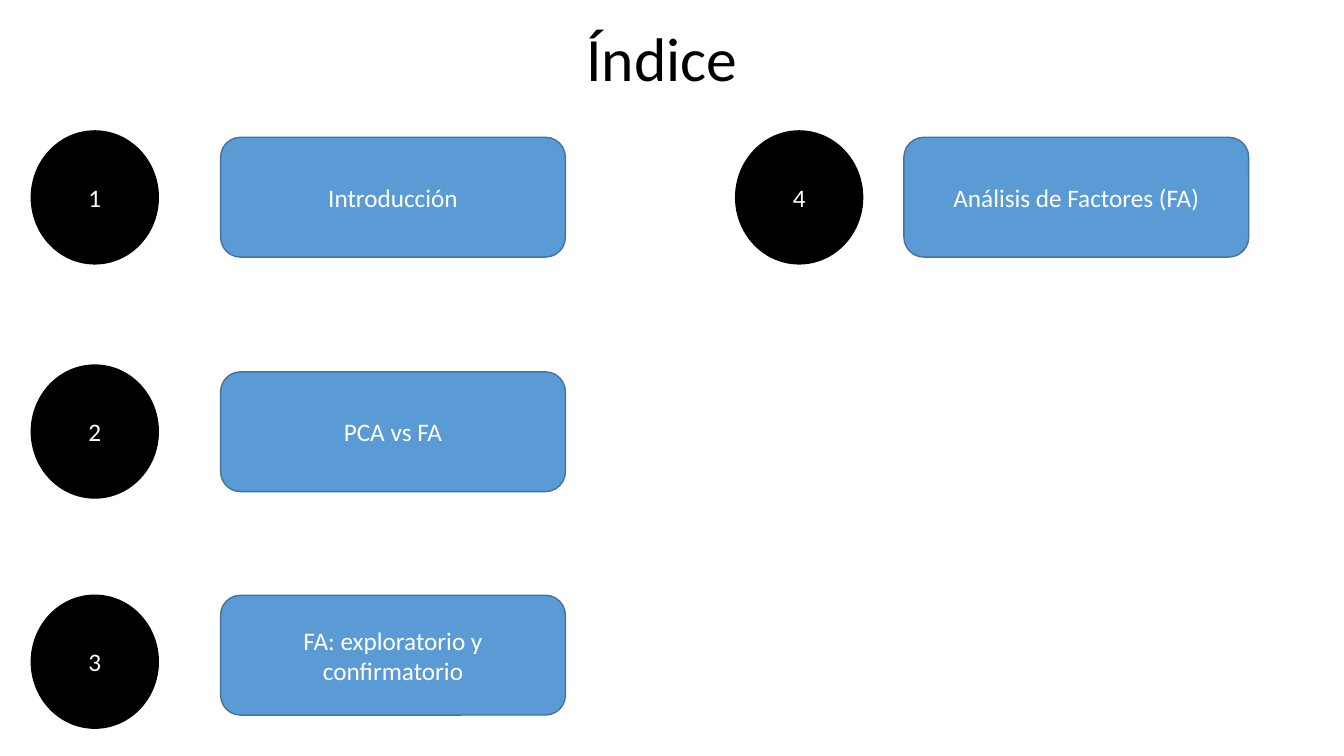
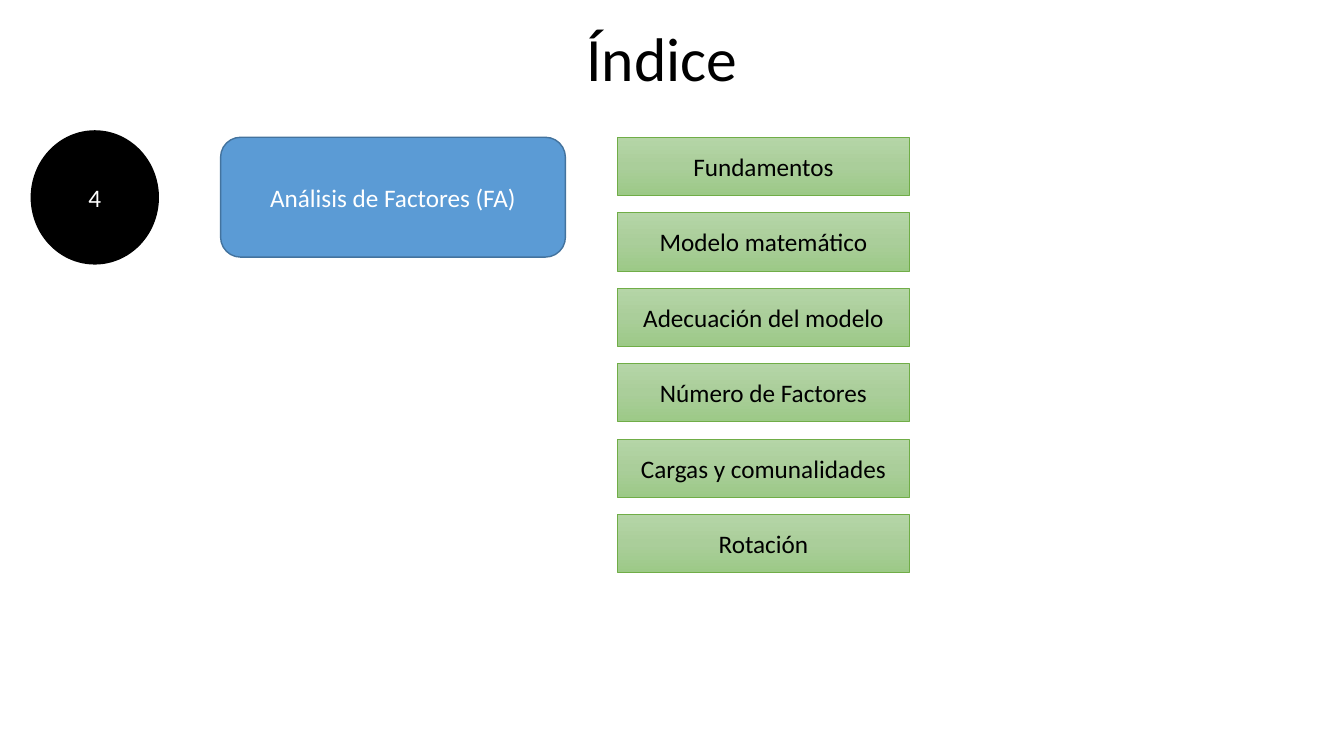
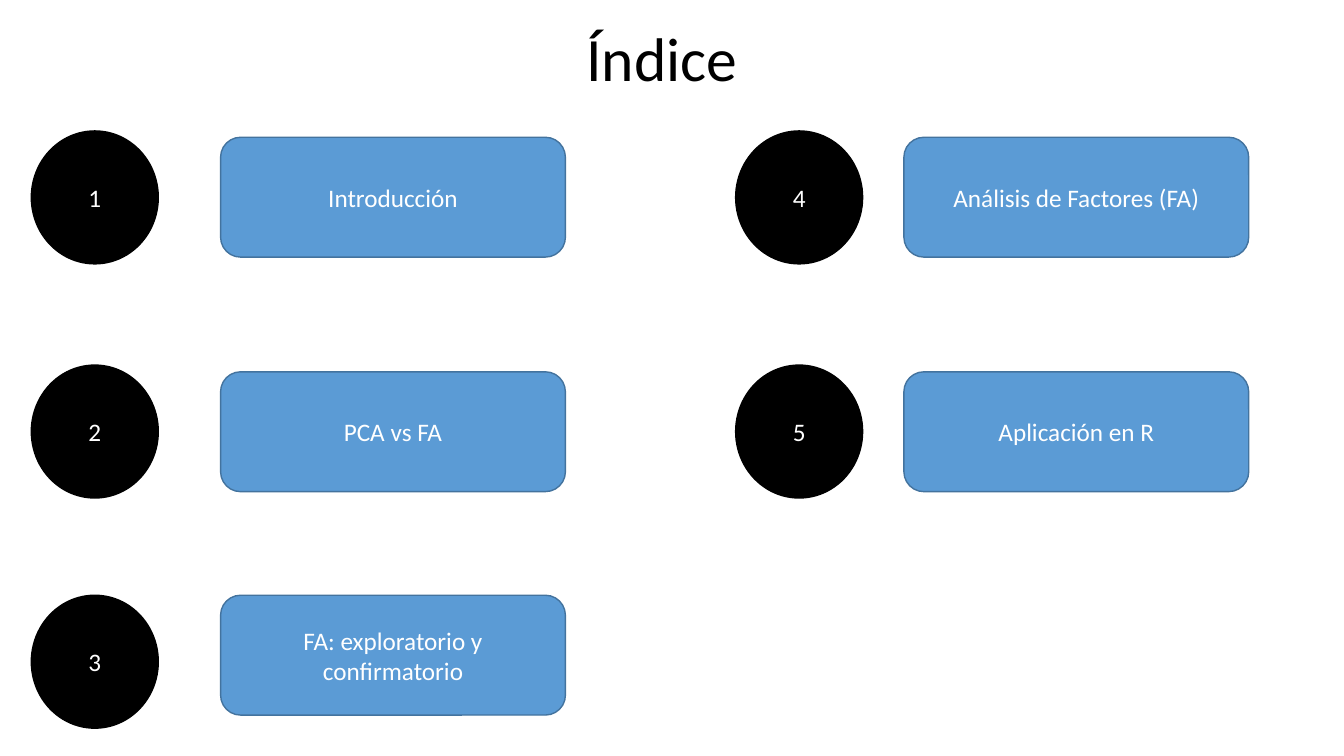
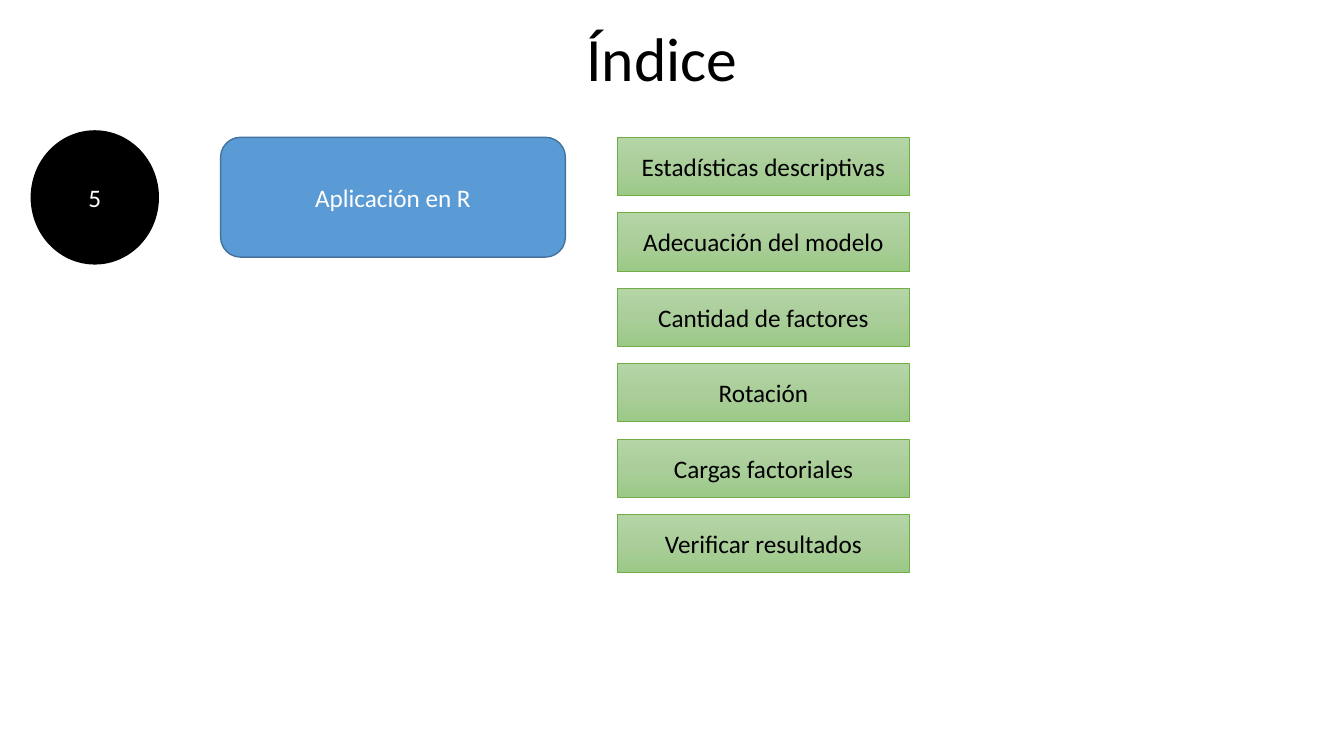
from copy import deepcopy

from pptx import Presentation
from pptx.dml.color import RGBColor
from pptx.enum.shapes import MSO_SHAPE
from pptx.enum.text import MSO_ANCHOR, PP_ALIGN
from pptx.oxml.ns import qn
from pptx.util import Cm, Pt

# Content
TITLE = "Índice"
SECTIONS = [
    "Introducción",
    "PCA vs FA",
    "FA: exploratorio y confirmatorio",
    "Análisis de Factores (FA)",
    "Aplicación en R",
]
FACTOR_TOPICS = [
    "Fundamentos",
    "Modelo matemático",
    "Adecuación del modelo",
    "Número de Factores",
    "Cargas y comunalidades",
    "Rotación",
]
R_TOPICS = [
    "Estadísticas descriptivas",
    "Adecuación del modelo",
    "Cantidad de factores",
    "Rotación",
    "Cargas factoriales",
    "Verificar resultados",
]
# Each slide: numbers of the sections shown, topics of the last one
SLIDES = [
    ([1, 2, 3, 4], []),
    ([4], FACTOR_TOPICS),
    ([1, 2, 3, 4, 5], []),
    ([5], R_TOPICS),
]

# Style
FONT = "Calibri"
COLORS = {
    "black": "000000",
    "white": "FFFFFF",
    "blue": "5B9BD5",
    "blue_edge": "43739E",
    "green_edge": "70AD47",
}
GREEN_STOPS = [(0, "B5D5A7"), (0.5, "AACE9A"), (1, "9CC987")]

# Layout in centimetres: lefts and tops are (circle, box) pairs
COLUMNS = [(0.79, 5.56), (18.54, 22.78)]
ROWS = [(3.3, 3.46), (9.2, 9.37), (15, 15)]
CIRCLE_SIZE = (3.2, 3.35)
BOX_SIZE = (8.69, 3.02)
TOPIC_LEFT, TOPIC_TOP, TOPIC_STEP = 15.57, 3.46, 1.9
TOPIC_SIZE = (7.34, 1.47)


def rgb(name):
    return RGBColor.from_string(COLORS[name])


def write(shape, text, color, size=18):
    frame = shape.text_frame
    frame.word_wrap = True
    frame.vertical_anchor = MSO_ANCHOR.MIDDLE
    para = frame.paragraphs[0]
    para.text = text
    para.alignment = PP_ALIGN.CENTER
    para.font.name = FONT
    para.font.size = Pt(size)
    para.font.color.rgb = rgb(color)
    return para


def add_title(page):
    box = page.shapes.add_textbox(Cm(2.36), Cm(0.33), Cm(28.65), Cm(2.46))
    write(box, TITLE, "black", 44).line_spacing = 0.9


def add_block(page, kind, left, top, size, text, edge, width, ink, fill=None):
    width_cm, height_cm = size
    block = page.shapes.add_shape(
        kind, Cm(left), Cm(top), Cm(width_cm), Cm(height_cm))
    block.shadow.inherit = False
    if fill:
        block.fill.solid()
        block.fill.fore_color.rgb = rgb(fill)
    else:
        fill_green(block)
    block.line.color.rgb = rgb(edge)
    block.line.width = Pt(width)
    write(block, text, ink)


def fill_green(block):
    block.fill.gradient()
    block.fill.gradient_angle = 270
    # The new gradient has two stops; add the middle one
    stop_list = block._element.spPr.find(".//" + qn("a:gsLst"))
    stop_list.insert(1, deepcopy(stop_list[0]))
    for stop, (position, color) in zip(block.fill.gradient_stops, GREEN_STOPS):
        stop.position = position
        stop.color.rgb = RGBColor.from_string(color)


def add_section(page, place, number):
    column, row = divmod(place, len(ROWS))
    circle_left, box_left = COLUMNS[column]
    circle_top, box_top = ROWS[row]
    add_block(page, MSO_SHAPE.OVAL, circle_left, circle_top, CIRCLE_SIZE,
              str(number), "black", 1, "white", "black")
    add_block(page, MSO_SHAPE.ROUNDED_RECTANGLE, box_left, box_top, BOX_SIZE,
              SECTIONS[number - 1], "blue_edge", 1, "white", "blue")


def main():
    deck = Presentation()
    deck.slide_width, deck.slide_height = Cm(33.87), Cm(19.05)
    for numbers, topics in SLIDES:
        page = deck.slides.add_slide(deck.slide_layouts[6])
        add_title(page)
        for place, number in enumerate(numbers):
            add_section(page, place, number)
        for index, topic in enumerate(topics):
            add_block(page, MSO_SHAPE.RECTANGLE, TOPIC_LEFT,
                      TOPIC_TOP + index * TOPIC_STEP, TOPIC_SIZE,
                      topic, "green_edge", 0.5, "black")
    deck.save("out.pptx")


if __name__ == "__main__":
    main()
